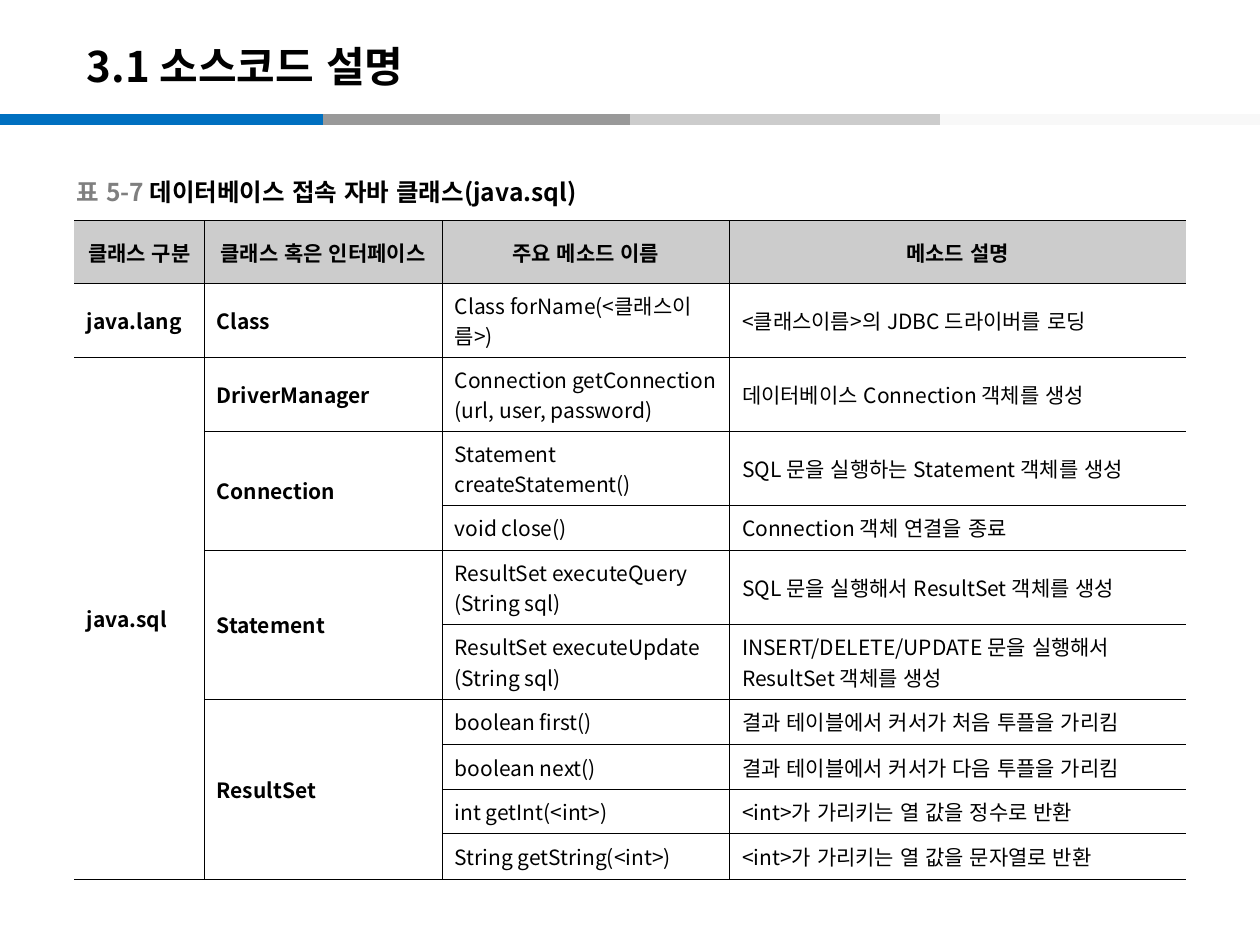
import pptx
import pptx.util
import pptx.dml.color
import pptx.enum.lang
import pptx.enum.shapes
import pptx.enum.text
import pptx.oxml
import pptx.oxml.ns
from pptx.util import Inches

FONT = "Noto Sans CJK KR"
COLORS = {
    "text": "000000", "label": "7F7F7F", "border": "000000",
    "header": "CCCCCC", "body": "FFFFFF",
    "blue": "0070C0", "gray": "999999", "silver": "CCCCCC", "pale": "F8F8F8",
}
ALIGN = pptx.enum.text.PP_ALIGN
MIDDLE = pptx.enum.text.MSO_ANCHOR.MIDDLE

HEADERS = ["클래스 구분", "클래스 혹은 인터페이스", "주요 메소드 이름", "메소드 설명"]
# Package, class, method, description; an empty name continues the cell above
ROWS = [
    ("java.lang", "Class", "Class forName(<클래스이름>)", "<클래스이름>의 JDBC 드라이버를 로딩"),
    ("java.sql", "DriverManager", "Connection getConnection\n(url, user, password)",
     "데이터베이스 Connection 객체를 생성"),
    ("", "Connection", "Statement createStatement()", "SQL 문을 실행하는 Statement 객체를 생성"),
    ("", "", "void close()", "Connection 객체 연결을 종료"),
    ("", "Statement", "ResultSet executeQuery\n(String sql)",
     "SQL 문을 실행해서 ResultSet 객체를 생성"),
    ("", "", "ResultSet executeUpdate\n(String sql)",
     "INSERT/DELETE/UPDATE 문을 실행해서\nResultSet 객체를 생성"),
    ("", "ResultSet", "boolean first()", "결과 테이블에서 커서가 처음 투플을 가리킴"),
    ("", "", "boolean next()", "결과 테이블에서 커서가 다음 투플을 가리킴"),
    ("", "", "int getInt(<int>)", "<int>가 가리키는 열 값을 정수로 반환"),
    ("", "", "String getString(<int>)", "<int>가 가리키는 열 값을 문자열로 반환"),
]
COLUMN_WIDTHS = [1.03, 1.89, 2.28, 3.62]
ROW_HEIGHTS = [0.5, 0.5, 0.59, 0.5, 0.36, 0.59, 0.59, 0.36, 0.36, 0.35, 0.36]


def rgb(name):
    return pptx.dml.color.RGBColor.from_string(COLORS[name])


def add_span(para, text, size, bold=True, color="text"):
    span = para.add_run()
    span.text = text
    formats = {"name": FONT, "size": pptx.util.Pt(size), "bold": bold,
               "language_id": pptx.enum.lang.MSO_LANGUAGE_ID.KOREAN}
    for key, value in formats.items():
        setattr(span.font, key, value)
    span.font.color.rgb = rgb(color)
    east_asian = pptx.oxml.parse_xml(
        f'<a:ea {pptx.oxml.ns.nsdecls("a")} typeface="{FONT}"/>')
    span.font._element.find(pptx.oxml.ns.qn("a:latin")).addnext(east_asian)


def place(shape, box):
    for key, value in zip(("left", "top", "width", "height"), box):
        setattr(shape, key, Inches(value))


def add_title(page, box):
    title = page.shapes.title
    place(title, box)
    title.text_frame.vertical_anchor = MIDDLE
    para = title.text_frame.paragraphs[0]
    para.alignment = ALIGN.LEFT
    add_span(para, "3.1 소스코드 설명", 24)


def add_stripes(page, y, length):
    starts = {"blue": 0, "gray": 2.56, "silver": 5, "pale": 7.46}
    for color, x in starts.items():
        stripe = page.shapes.add_connector(
            pptx.enum.shapes.MSO_CONNECTOR.STRAIGHT,
            Inches(x), Inches(y), Inches(x + length), Inches(y))
        stripe.line.color.rgb = rgb(color)
        stripe.line.width = pptx.util.Pt(6)
        stripe._element.spPr.append(pptx.oxml.parse_xml(
            f'<a:effectLst {pptx.oxml.ns.nsdecls("a")}/>'))


def add_caption(page, box):
    caption = page.shapes.add_textbox(*map(Inches, box))
    caption.text_frame.word_wrap = True
    caption.text_frame.vertical_anchor = MIDDLE
    para = caption.text_frame.paragraphs[0]
    para.alignment = ALIGN.LEFT
    add_span(para, "표 5-7 ", 14, color="label")
    add_span(para, "데이터베이스 접속 자바 클래스(java.sql)", 14)


def set_borders(cell, sides):
    properties = cell._tc.get_or_add_tcPr()
    for index, side in enumerate("LRTB"):
        paint = (f'<a:solidFill><a:srgbClr val="{COLORS["border"]}"/></a:solidFill>'
                 if side in sides else "<a:noFill/>")
        properties.insert(index, pptx.oxml.parse_xml(
            f'<a:ln{side} {pptx.oxml.ns.nsdecls("a")} '
            f'w="{pptx.util.Pt(0.45)}">{paint}</a:ln{side}>'))


def fill_cell(cell, text, header, bold, sides):
    cell.fill.solid()
    cell.fill.fore_color.rgb = rgb("header" if header else "body")
    cell.vertical_anchor = MIDDLE
    set_borders(cell, sides)
    if not text:
        return
    for index, line in enumerate(text.split("\n")):
        frame = cell.text_frame
        para = frame.add_paragraph() if index else frame.paragraphs[0]
        para.alignment = ALIGN.CENTER if header else ALIGN.LEFT
        add_span(para, line, 12, bold)


def merge_groups(table, column):
    # Join each named cell with the empty ones below it
    starts = [i for i, row in enumerate(ROWS, 1) if row[column]]
    for start, following in zip(starts, starts[1:] + [len(ROWS) + 1]):
        if following - start > 1:
            table.cell(start, column).merge(table.cell(following - 1, column))


def add_class_table(page, box):
    rows = [HEADERS] + ROWS
    table = page.shapes.add_table(
        len(rows), len(HEADERS), *map(Inches, box)).table
    table.horz_banding = False
    for column, width in zip(table.columns, COLUMN_WIDTHS):
        column.width = Inches(width)
    for row, height in zip(table.rows, ROW_HEIGHTS):
        row.height = Inches(height)
    last = len(HEADERS) - 1
    for i, texts in enumerate(rows):
        for j, text in enumerate(texts):
            # The outer left and right edges stay open
            sides = "TB" + ("L" if j > 0 else "") + ("R" if j < last else "")
            fill_cell(table.cell(i, j), text, i == 0, i == 0 or j < 2, sides)
    for column in (0, 1):
        merge_groups(table, column)


def main():
    deck = pptx.Presentation()
    deck.slide_width, deck.slide_height = Inches(10), Inches(7.5)
    page = deck.slides.add_slide(deck.slide_layouts[5])
    add_stripes(page, 0.95, 2.56)
    add_title(page, (0.59, 0.22, 8.27, 0.6))
    add_class_table(page, (0.59, 1.75, 8.82, 5.03))
    add_caption(page, (0.51, 1.37, 4.5, 0.31))
    deck.save("out.pptx")


if __name__ == "__main__":
    main()
